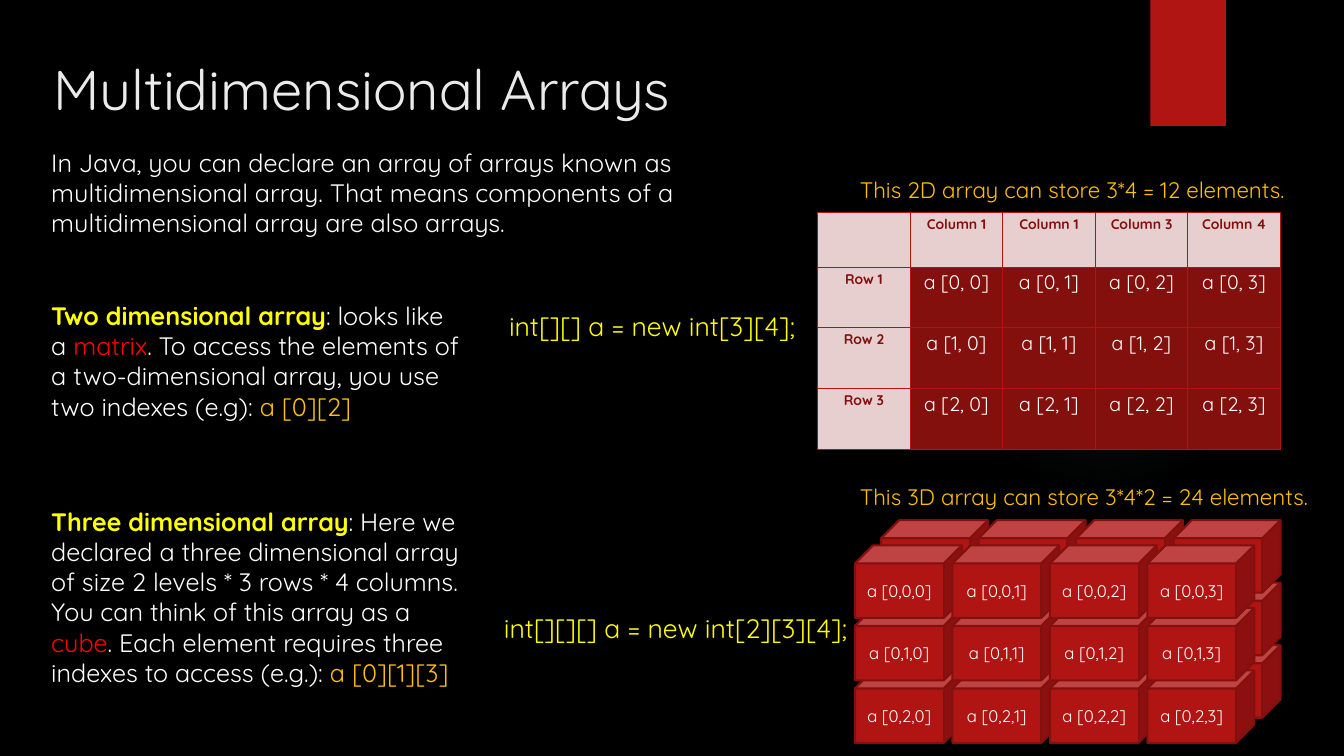
from collections import namedtuple

from lxml import etree
from pptx import Presentation
from pptx import util as u
from pptx.dml.color import RGBColor
from pptx.enum import shapes, text
from pptx.oxml import ns

Box = namedtuple("Box", "left top width height")

FONT = "Quicksand"
COLORS = {
    "black": "000000",
    "white": "FFFFFF",
    "title": "EBEBEB",
    "red": "B01513",
    "edge": "82100E",
    "dark": "84100E",
    "pale": "E7CFCF",
    "yellow": "FFFF00",
    "amber": "FFC000",
    "bright": "FF0000",
    "glow": "50B9C1",
}


def color(name):
    return RGBColor.from_string(COLORS[name])


def inches(box):
    return [u.Inches(length) for length in box]


def add_child(parent, tag, **attributes):
    child = etree.SubElement(parent, ns.qn(tag))
    for key, value in attributes.items():
        child.set(key, str(value))
    return child


def write(frame, spans, size=18, fill="white", bold=False, align=text.PP_ALIGN.LEFT,
          anchor=text.MSO_ANCHOR.TOP):
    frame.word_wrap = True
    frame.vertical_anchor = anchor
    para = frame.paragraphs[0]
    para.alignment = align
    for words, *style in [(spans,)] if isinstance(spans, str) else spans:
        span = para.add_run()
        span.text = words
        span.font.name = FONT
        span.font.size = u.Pt(size)
        span.font.bold = bold or "bold" in style
        span.font.color.rgb = color(style[0] if style else fill)


def add_text(page, box, spans, **style):
    write(page.shapes.add_textbox(*inches(box)).text_frame, spans, **style)


def add_solid(page, kind, box, fill, line=None):
    shape = page.shapes.add_shape(kind, *inches(box))
    shape.shadow.inherit = False
    shape.fill.solid()
    shape.fill.fore_color.rgb = color(fill)
    if line:
        shape.line.color.rgb = color(line)
        shape.line.width = u.Pt(1.5)
    else:
        shape.line.fill.background()
    return shape


def add_glow(page, box):
    glow = add_solid(page, shapes.MSO_SHAPE.OVAL, box, "glow")
    solid = glow.fill._xPr.find(ns.qn("a:solidFill"))
    gradient = etree.Element(ns.qn("a:gradFill"), rotWithShape="1")
    stops = add_child(gradient, "a:gsLst")
    for position, alpha in ((0, 7), (36, 6), (69, 0)):
        stop = add_child(stops, "a:gs", pos=position * 1000)
        tint = add_child(stop, "a:srgbClr", val=COLORS["glow"])
        add_child(tint, "a:alpha", val=alpha * 1000)
    circle = add_child(gradient, "a:path", path="circle")
    add_child(circle, "a:fillToRect", l=50000, t=50000, r=50000, b=50000)
    solid.getparent().replace(solid, gradient)


def add_borders(cell):
    properties = cell._tc.get_or_add_tcPr()
    for index, side in enumerate(("a:lnL", "a:lnR", "a:lnT", "a:lnB")):
        line = etree.Element(ns.qn(side), w=str(u.Pt(0.75)))
        add_child(add_child(line, "a:solidFill"), "a:srgbClr", val=COLORS["red"])
        properties.insert(index, line)


def add_matrix(page, box):
    rows = [["", "Column 1", "Column 1", "Column 3", "Column 4"]]
    rows += [[f"Row {row + 1}"] + [f"a [{row}, {column}]" for column in range(4)]
             for row in range(3)]
    table = page.shapes.add_table(len(rows), len(rows[0]), *inches(box)).table
    table.first_row = table.horz_banding = False
    header = 0.54
    for index, row in enumerate(table.rows):
        row.height = u.Inches((box.height - header) / 3 if index else header)
    for row, labels in enumerate(rows):
        for column, label in enumerate(labels):
            cell = table.cell(row, column)
            cell.margin_left = cell.margin_right = u.Inches(0.07)
            cell.margin_top = cell.margin_bottom = u.Inches(0.03)
            heading = row == 0 or column == 0
            cell.fill.solid()
            cell.fill.fore_color.rgb = color("pale" if heading else "dark")
            write(cell.text_frame, label, size=10 if heading else 14, bold=heading,
                  fill="dark" if heading else "white", align=text.PP_ALIGN.CENTER)
            add_borders(cell)


def add_cube_level(page, box, level):
    width, height = 1.06, 0.72
    step_x = (box.width - width) / 3
    step_y = (box.height - height) / 2
    for column in range(4):
        for row in reversed(range(3)):
            place = Box(box.left + column * step_x, box.top + row * step_y, width, height)
            cube = add_solid(page, shapes.MSO_SHAPE.CUBE, place, "red", line="edge")
            write(cube.text_frame, f"a [{level},{row},{column}]", size=12,
                  align=text.PP_ALIGN.CENTER, anchor=text.MSO_ANCHOR.MIDDLE)


def add_introduction(page, box):
    add_text(page, Box(box.left + 0.02, box.top, 10.76, 0.88),
             "Multidimensional Arrays", size=40, fill="title")
    add_text(page, Box(box.left, box.top + 0.92, box.width, 1.01),
             "In Java, you can declare an array of arrays known as multidimensional array. "
             "That means components of a multidimensional array are also arrays.")


def add_two_dimensions(page, box):
    add_text(page, Box(box.left, box.top + 1.23, 4.25, 1.31), [
        ("Two dimensional array", "yellow", "bold"),
        (": looks like a ",),
        ("matrix", "bright"),
        (". To access the elements of a two-dimensional array, you use two indexes (e.g): ",),
        ("a [0][2]", "amber"),
    ])
    add_matrix(page, Box(box.left + 7.7, box.top + 0.41, 4.59, 2.35))
    add_text(page, Box(box.left + 8.02, box.top, 4.63, 0.37),
             "This 2D array can store 3*4 = 12 elements.", size=16, fill="amber")
    add_text(page, Box(box.left + 4.54, box.top + 1.33, 3.28, 0.42),
             "int[][] a = new int[3][4];", size=19, fill="yellow")


def add_three_dimensions(page, box):
    front = Box(box.left + 8.07, box.top + 0.67, 3.96, 1.96)
    back = front._replace(left=front.left + 0.26, top=front.top - 0.25)
    add_cube_level(page, back, 1)
    add_text(page, Box(box.left, box.top + 0.23, 4.25, 2.22), [
        ("Three dimensional array", "yellow", "bold"),
        (": Here we declared a three dimensional array of size 2 levels * 3 rows * 4 columns. "
         "You can think of this array as a ",),
        ("cube", "bright"),
        (". Each element requires three indexes to access (e.g.): ",),
        ("a [0][1][3]", "amber"),
    ])
    add_text(page, Box(box.left + 8.02, box.top, 4.9, 0.37),
             "This 3D array can store 3*4*2 = 24 elements.", size=16, fill="amber")
    add_text(page, Box(box.left + 4.49, box.top + 1.28, 3.86, 0.42),
             "int[][][] a = new int[2][3][4];", size=19, fill="yellow")
    add_cube_level(page, front, 0)


def main():
    deck = Presentation()
    deck.slide_width, deck.slide_height = u.Inches(13.33), u.Inches(7.5)
    page = deck.slides.add_slide(deck.slide_layouts[6])
    page.background.fill.solid()
    page.background.fill.fore_color.rgb = color("black")
    add_glow(page, Box(9.41, 1.83, 3.08, 3.08))
    add_solid(page, shapes.MSO_SHAPE.RECTANGLE, Box(11.41, 0, 0.75, 1.25), "red")
    add_introduction(page, Box(0.41, 0.49, 7.15, 1.93))
    add_two_dimensions(page, Box(0.41, 1.7, 12.65, 2.76))
    add_three_dimensions(page, Box(0.41, 4.74, 12.92, 2.63))
    deck.save("out.pptx")


if __name__ == "__main__":
    main()
